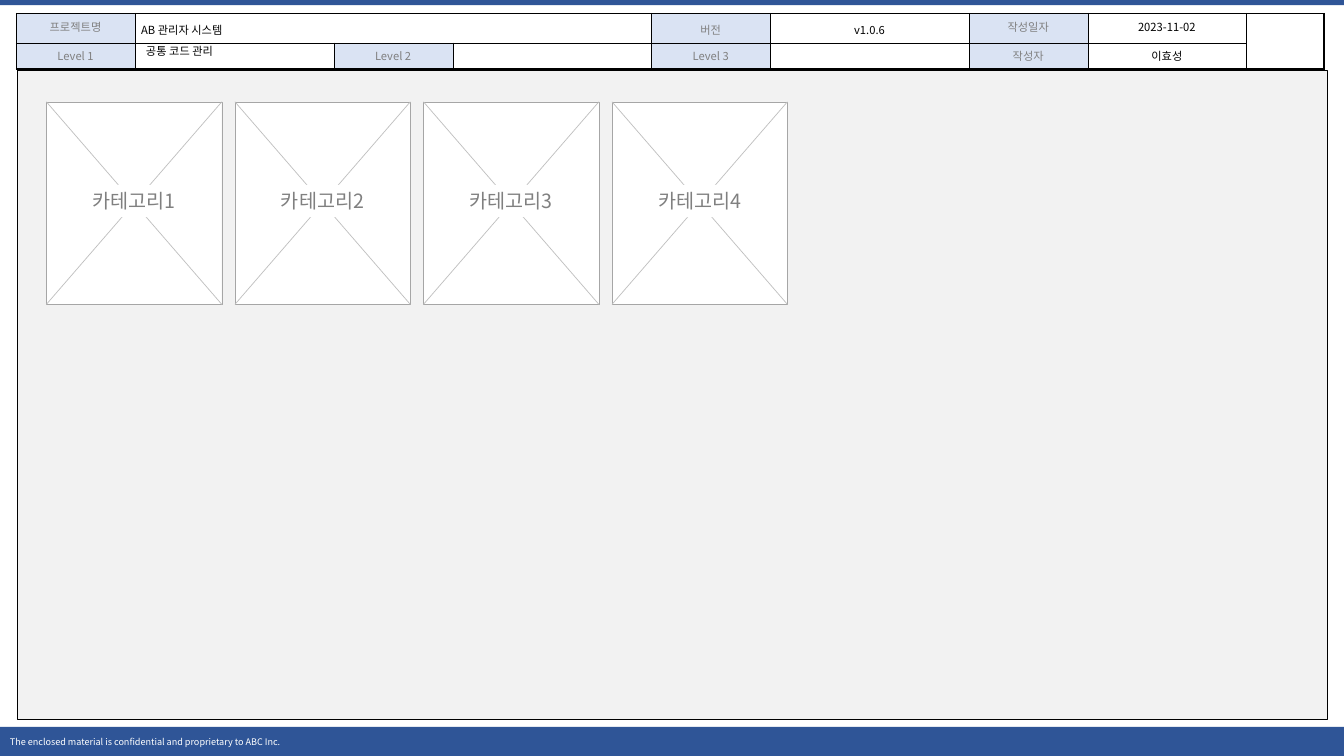
from dataclasses import dataclass
from pptx import Presentation
from pptx.dml.color import RGBColor
from pptx.enum.shapes import MSO_CONNECTOR as Conn, MSO_SHAPE as Form
from pptx.enum.text import MSO_ANCHOR as Anchor, PP_ALIGN as Align
from pptx.oxml.ns import qn
from pptx.util import Inches, Pt
from lxml.etree import SubElement


@dataclass(frozen=True)
class Theme:
    font: str = "Noto Sans CJK KR"
    blue: str = "2F5597"
    pale: str = "DAE3F3"
    panel: str = "F2F2F2"
    white: str = "FFFFFF"
    black: str = "000000"
    gray: str = "808080"
    edge: str = "A6A6A6"
    cross: str = "BFBFBF"
    foot: float = 6.5
    body: float = 8
    label: float = 14
    thin: float = 0.25
    thick: float = 1.5


T = Theme()
WIDE, HIGH = 13.33, 7.5


def write(frame, text, size=T.body, color=T.black, align=Align.LEFT,
          anchor=Anchor.MIDDLE, space=None, wrap=True, inset=None):
    """Put one formatted paragraph in a text frame."""
    frame.word_wrap = wrap
    frame.vertical_anchor = anchor
    if inset is not None:
        frame.margin_left = frame.margin_right = Inches(inset)
        frame.margin_top = frame.margin_bottom = Inches(inset)
    para = frame.paragraphs[0]
    para.alignment = align
    para.line_spacing = space
    run = para.add_run()
    run.text = text
    run.font.size = Pt(size)
    run.font.name = T.font
    run.font.color.rgb = RGBColor.from_string(color)
    SubElement(run.font._element, qn("a:ea"), typeface=T.font)


def block(shapes, x, y, w, h, fill, line=None):
    """Add a flat rectangle."""
    rect = shapes.add_shape(Form.RECTANGLE, Inches(x), Inches(y), Inches(w), Inches(h))
    rect.shadow.inherit = False
    rect.fill.solid()
    rect.fill.fore_color.rgb = RGBColor.from_string(fill)
    if line:
        rect.line.color.rgb = RGBColor.from_string(line)
        rect.line.width = Pt(T.thin)
    else:
        rect.line.fill.background()
    return rect


def stroke(shapes, x1, y1, x2, y2):
    """Add a thin diagonal."""
    line = shapes.add_connector(Conn.STRAIGHT, Inches(x1), Inches(y1), Inches(x2), Inches(y2))
    line.line.color.rgb = RGBColor.from_string(T.cross)
    line.line.width = Pt(0.5)
    SubElement(line._element.spPr, qn("a:effectLst"))


def border(cell, **widths):
    """Draw the cell's edges; they come before the fill in the XML."""
    props = cell._tc.get_or_add_tcPr()
    for spot, side in enumerate(("lnL", "lnR", "lnT", "lnB")):
        width = widths.get(side, T.thin)
        edge = SubElement(props, qn(f"a:{side}"), w=str(Pt(width)))
        fill = SubElement(edge, qn("a:solidFill"))
        SubElement(fill, qn("a:srgbClr"), val=T.black)
        props.insert(spot, edge)


def header(slide, x, y, w, h):
    """Project details; each text is paired with its kind: label or value."""
    unit = w / 12.97
    cols = [n * unit for n in (1.18, 1.97, 1.18, 1.97, 1.18, 1.97, 1.18, 1.57, 0.77)]
    rows = (h * 0.53, h * 0.47)
    texts = (
        ("프로젝트명", "AB 관리자 시스템", "", "", "버전", "v1.0.6", "작성일자", "2023-11-02", ""),
        ("Level 1", "", "Level 2", "", "Level 3", "", "작성자", "이효성", ""),
    )
    tall = {(0, 1), (0, 4), (0, 5)}
    table = slide.shapes.add_table(2, len(cols), Inches(x), Inches(y), Inches(w), Inches(h)).table
    table.first_row = table.horz_banding = False
    for col, width in zip(table.columns, cols):
        col.width = Inches(width)
    for row, height in zip(table.rows, rows):
        row.height = Inches(height)
    table.cell(0, 1).merge(table.cell(0, 3))
    table.cell(0, 8).merge(table.cell(1, 8))

    for r, line in enumerate(texts):
        for c, text in enumerate(line):
            cell = table.cell(r, c)
            label = bool(text) and c % 2 == 0
            cell.fill.solid()
            cell.fill.fore_color.rgb = RGBColor.from_string(T.pale if label else T.white)
            cell.margin_left = cell.margin_right = Inches(0.06)
            cell.margin_top = cell.margin_bottom = Inches(0.05)
            if text:
                write(cell.text_frame, text, color=T.gray if label else T.black,
                      align=Align.LEFT if (r, c) == (0, 1) else Align.CENTER,
                      anchor=Anchor.TOP, space=1.2 if (r, c) in tall else None)
            else:
                cell.text_frame.paragraphs[0].font.size = Pt(T.body)
            border(cell, lnB=T.thick if r == 1 or c == 8 else T.thin,
                   lnR=T.thick if c == 8 else T.thin)


def title(slide, x, y, w, h):
    """Name of the screen, over the Level 1 value."""
    box = slide.shapes.add_textbox(Inches(x), Inches(y), Inches(w), Inches(h))
    write(box.text_frame, "공통 코드 관리", space=0.9)


def card(slide, x, y, w, h, text):
    """Crossed box with a label in its middle."""
    parts = slide.shapes.add_group_shape().shapes
    block(parts, x, y, w, h, T.white, T.edge)
    stroke(parts, x, y, x + w, y + h)
    stroke(parts, x, y + h, x + w, y)
    wide, high = 0.97, 0.32
    tag = block(parts, x + (w - wide) / 2, y + (h - high) / 2 - 0.02, wide, high, T.white)
    write(tag.text_frame, text, size=T.label, color=T.gray, align=Align.CENTER,
          wrap=False, inset=0.04)


def canvas(slide, x, y, w, h):
    """Gray work area with a row of category cards."""
    block(slide.shapes, x, y, w, h, T.panel, T.black)
    for n in range(4):
        card(slide, x + 0.29 + n * 1.87, y + 0.31, 1.74, 2.01, f"카테고리{n + 1}")


def footer(slide, x, y, w, h):
    """Blue bar with the confidentiality line."""
    bar = block(slide.shapes, x, y, w, h, T.blue)
    write(bar.text_frame, "The enclosed material is confidential and proprietary to ABC Inc.",
          size=T.foot, color=T.white)


def main():
    deck = Presentation()
    deck.slide_width, deck.slide_height = Inches(WIDE), Inches(HIGH)
    slide = deck.slides.add_slide(deck.slide_layouts[6])
    block(slide.shapes, 0, 0, WIDE, 0.05, T.blue)
    footer(slide, 0, 7.21, WIDE, 0.29)
    header(slide, 0.16, 0.13, 12.97, 0.49)
    canvas(slide, 0.17, 0.7, 12.99, 6.44)
    title(slide, 1.35, 0.39, 1.97, 0.24)
    deck.save("out.pptx")


if __name__ == "__main__":
    main()
